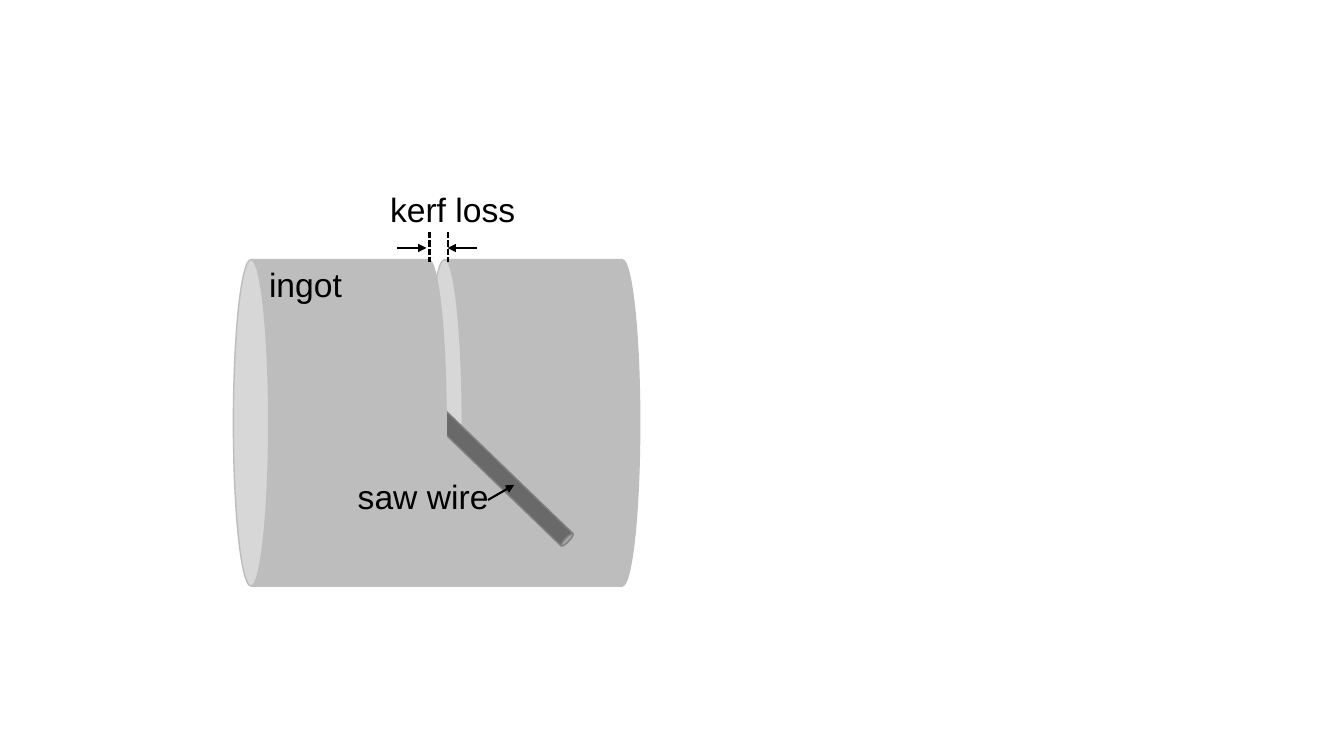
import pptx
import pptx.util
import pptx.dml.color
import pptx.enum.dml
import pptx.enum.shapes
import pptx.enum.text
import pptx.oxml.ns
import lxml.etree

Inches = pptx.util.Inches
RGBColor = pptx.dml.color.RGBColor
SHAPE = pptx.enum.shapes.MSO_SHAPE
BLACK = RGBColor(0x00, 0x00, 0x00)
INGOT = RGBColor(0xBD, 0xBD, 0xBD)
WIRE = RGBColor(0x69, 0x69, 0x69)
WIRE_EDGE = RGBColor(0x80, 0x80, 0x80)

prs = pptx.Presentation()
prs.slide_width = Inches(13.33)
prs.slide_height = Inches(7.5)
s = prs.slides.add_slide(prs.slide_layouts[6])


def add_text(text, left, top, width, height=0.5, size=24, font="Arial", color=BLACK):
    tb = s.shapes.add_textbox(Inches(left), Inches(top), Inches(width), Inches(height))
    tf = tb.text_frame
    tf.word_wrap = True
    tf.auto_size = pptx.enum.text.MSO_AUTO_SIZE.SHAPE_TO_FIT_TEXT
    r = tf.paragraphs[0].add_run()
    r.text = text
    r.font.size = pptx.util.Pt(size)
    r.font.name = font
    r.font.color.rgb = color


def add_line(x1, y1, x2, y2, arrow=True):
    c = s.shapes.add_connector(pptx.enum.shapes.MSO_CONNECTOR.STRAIGHT,
                               Inches(x1), Inches(y1), Inches(x2), Inches(y2))
    c.line.color.rgb = BLACK
    c.line.width = pptx.util.Pt(1.5)
    if arrow:
        ln = c.line._get_or_add_ln()
        lxml.etree.SubElement(ln, pptx.oxml.ns.qn("a:tailEnd"), type="triangle")
    else:
        c.line.dash_style = pptx.enum.dml.MSO_LINE.SQUARE_DOT
    lxml.etree.SubElement(c._element.spPr, pptx.oxml.ns.qn("a:effectLst"))


for kind, left, top, width, height, rotation, adj, fill, edge in [
    (SHAPE.CAN, 3.67, 3.14, 3.24, 2.11, 270, 0.166, INGOT, INGOT),
    (SHAPE.RECTANGLE, 4.23, 4.31, 1.62, 1.51, 0, None, INGOT, INGOT),
    (SHAPE.CAN, 4.26, 2.32, 0.17, 3.6, 134, 0.25, WIRE, WIRE_EDGE),
    (SHAPE.CAN, 1.75, 3.14, 3.24, 2.11, 270, 0.166, INGOT, INGOT),
    (SHAPE.RECTANGLE, 2.81, 4.37, 1.62, 1.44, 0, None, INGOT, INGOT),
]:
    sp = s.shapes.add_shape(kind, Inches(left), Inches(top), Inches(width), Inches(height))
    sp.rotation = rotation
    if adj:
        sp.adjustments[0] = adj
    sp.shadow.inherit = False
    sp.fill.solid()
    sp.fill.fore_color.rgb = fill
    sp.line.color.rgb = edge
    sp.line.width = pptx.util.Pt(1)

add_text("ingot", 2.57, 2.57, 3.44)
add_text("saw wire", 3.45, 4.67, 1.83)
add_line(4.84, 4.96, 5.1, 4.81)
add_text("kerf loss", 3.77, 1.83, 1.55)

for kerf_x in (4.26, 4.44):
    add_line(kerf_x, 2.3, kerf_x, 2.6, arrow=False)
for start_x, end_x in ((3.94, 4.23), (4.73, 4.44)):
    add_line(start_x, 2.46, end_x, 2.46)

prs.save("out.pptx")
